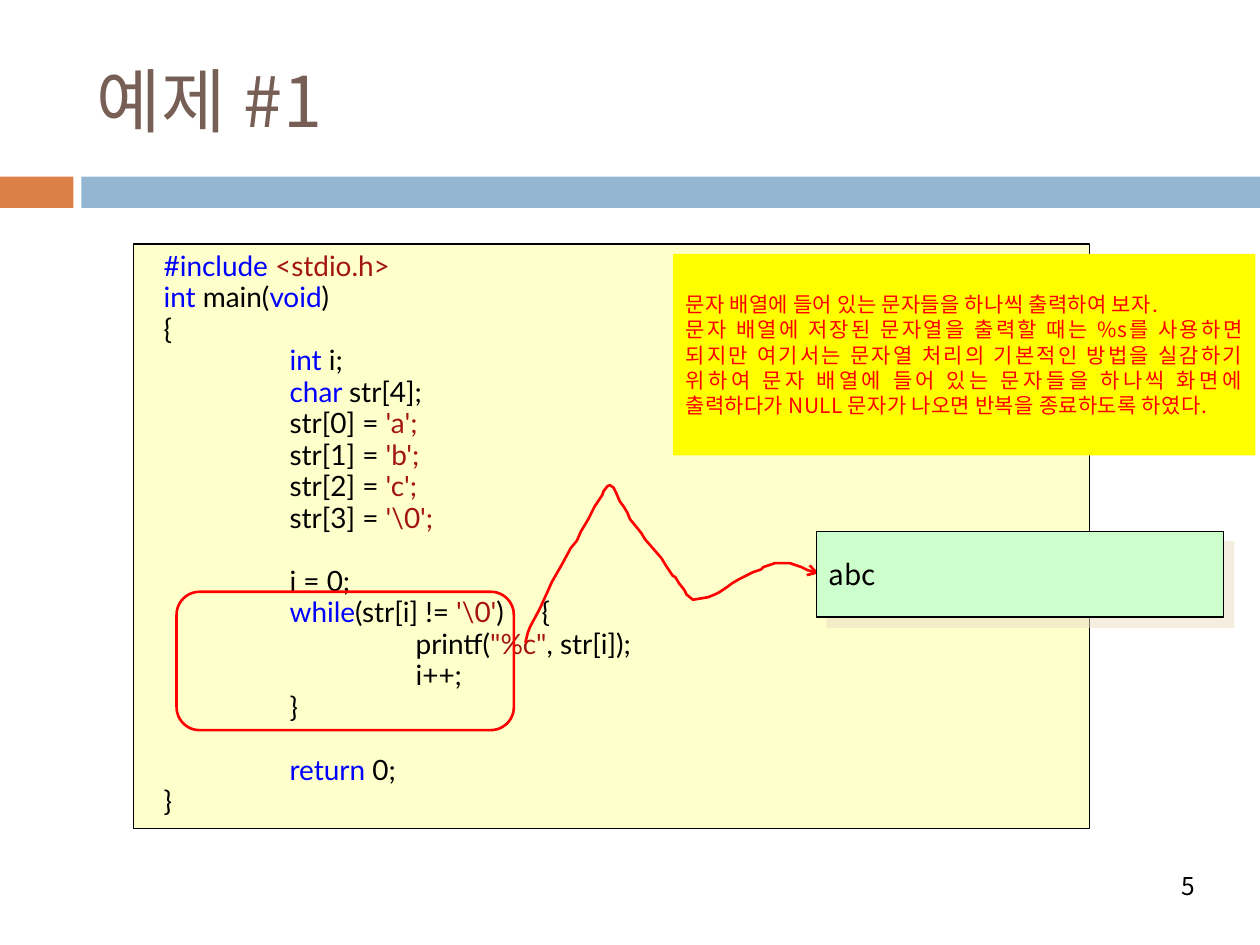
from lxml.etree import SubElement
from pptx import Presentation
from pptx.dml.color import RGBColor
from pptx.enum.shapes import MSO_SHAPE
from pptx.enum.text import MSO_ANCHOR, PP_ALIGN
from pptx.oxml.ns import qn
from pptx.util import Cm, Pt

HEX = {
    "orange": "DD8047", "blue": "94B6D2", "brown": "775F55",
    "cream": "FFFFCC", "yellow": "FFFF00", "green": "CCFFCC",
    "red": "FF0000", "black": "000000", "shade": "EBDDC3",
    "key": "0000FF", "str": "A31515",
}
SANS = "Noto Sans CJK KR"
KEYS = {"#include", "int", "void", "char", "while", "return"}

# Each code line is a list of pieces that share one colour
CODE = [
    ["#include ", "<stdio.h>"],
    ["int ", "main(", "void", ")"],
    ["{"],
    ["\t", "int ", "i;"],
    ["\t", "char ", "str[4];"],
    ["\tstr[0] = ", "'a';"],
    ["\tstr[1] = ", "'b';"],
    ["\tstr[2] = ", "'c';"],
    ["\tstr[3] = ", "'\\0';"],
    ["\t"],
    ["\ti = 0;"],
    ["\t", "while", "(str[i] != ", "'\\0'", ")\t{"],
    ["\t\tprintf(", '"%c"', ", str[i]);"],
    ["\t\ti++;"],
    ["\t}"],
    ["\t"],
    ["\t", "return ", "0;"],
    ["}"],
]

NOTE = [
    "문자 배열에 들어 있는 문자들을 하나씩 출력하여 보자.",
    "문자 배열에 저장된 문자열을 출력할 때는 %s를 사용하면 되지만 여기서는 "
    "문자열 처리의 기본적인 방법을 실감하기 위하여 문자 배열에 들어 있는 "
    "문자들을 하나씩 화면에 출력하다가 NULL 문자가 나오면 반복을 종료하도록 하였다.",
]

# Points of the hand-drawn arrow, in hundredths of an inch
TRAIL = [
    (417, 510), (419, 502), (421, 497), (428, 484), (434, 471), (438, 462),
    (446, 448), (453, 435), (458, 429), (461, 422), (464, 417), (467, 412),
    (472, 402), (478, 393), (479, 390), (482, 386), (484, 385), (487, 387),
    (489, 391), (492, 398), (495, 402), (498, 407), (500, 412), (509, 423),
    (512, 428), (525, 443), (528, 448), (534, 457), (536, 458), (539, 463),
    (543, 468), (545, 472), (550, 476), (562, 474), (567, 472), (571, 470),
    (577, 466), (581, 463), (586, 460), (592, 457), (598, 454), (604, 452),
    (606, 450), (615, 447), (627, 447), (636, 450), (642, 453), (646, 454),
    (650, 455),
]


def tint(name):
    return RGBColor.from_string(HEX[name])


def style(run, face, size, color, track=0):
    run.font.name, run.font.size = face, Pt(size)
    run.font.color.rgb = tint(color)
    SubElement(run.font._element, qn("a:ea"), typeface=face)
    if track:
        run.font._element.set("spc", str(track))


def write(frame, lines, size, color, align=PP_ALIGN.LEFT, pitch=None, track=0):
    frame.word_wrap = True
    frame.vertical_anchor = MSO_ANCHOR.MIDDLE
    frame.text = "\n".join(lines)
    for para in frame.paragraphs:
        para.alignment = align
        if pitch:
            para.line_spacing = Pt(pitch)
        for run in para.runs:
            style(run, SANS, size, color, track)


def place(shape, box):
    shape.left, shape.top, shape.width, shape.height = map(Cm, box)


def add_box(slide, box, fill=None, line=None, width=0.75, kind=MSO_SHAPE.RECTANGLE):
    shape = slide.shapes.add_shape(kind, *map(Cm, box))
    shape.shadow.inherit = False
    if fill:
        shape.fill.solid()
        shape.fill.fore_color.rgb = tint(fill)
    else:
        shape.fill.background()
    if line:
        shape.line.color.rgb = tint(line)
        shape.line.width = Pt(width)
    else:
        shape.line.fill.background()
    return shape


def add_shade(shape):
    effect = shape._element.spPr.find(qn("a:effectLst"))
    outer = SubElement(effect, qn("a:outerShdw"), blurRad="0",
                       dist=str(Pt(8.5)), dir="2700000", algn="ctr", rotWithShape="0")
    color = SubElement(outer, qn("a:srgbClr"), val=HEX["shade"])
    SubElement(color, qn("a:alpha"), val="50000")


def set_tabs(para):
    props = para._p.get_or_add_pPr()
    props.set("marL", str(Cm(0.36)))
    props.set("indent", "0")
    props.set("defTabSz", str(Cm(2.54)))
    tabs = SubElement(props, qn("a:tabLst"))
    for step in (1, 2, 3):
        SubElement(tabs, qn("a:tab"), pos=str(Cm(2.54 * step)), algn="l")


def add_code(slide, box):
    frame = add_box(slide, box, "cream", "black").text_frame
    frame.word_wrap = True
    frame.vertical_anchor = MSO_ANCHOR.TOP
    for row, parts in enumerate(CODE):
        para = frame.add_paragraph() if row else frame.paragraphs[0]
        set_tabs(para)
        para.alignment = PP_ALIGN.LEFT
        para.line_spacing = Pt(18)
        for part in parts:
            run = para.add_run()
            run.text = part
            color = "black"
            if part.strip() in KEYS:
                color = "key"
            elif part[0] in "'\"<":
                color = "str"
            style(run, "Lato", 16, color)


def add_trail(slide):
    pen = slide.shapes.build_freeform(*TRAIL[0], scale=Cm(0.0254))
    pen.add_line_segments(TRAIL[1:], close=False)
    shape = pen.convert_to_shape()
    shape.shadow.inherit = False
    shape.fill.background()
    shape.line.color.rgb = tint("red")
    shape.line.width = Pt(1.5)
    SubElement(shape.line._get_or_add_ln(), qn("a:tailEnd"), type="arrow")


def main():
    deck = Presentation()
    deck.slide_width, deck.slide_height = Cm(25.4), Cm(19.05)
    slide = deck.slides.add_slide(deck.slide_layouts[5])

    # Title and the band below it
    add_box(slide, (0, 3.56, 1.48, 0.63), "orange")
    add_box(slide, (1.64, 3.56, 23.76, 0.63), "blue")
    title = slide.shapes.title
    place(title, (1.7, 0.64, 22.66, 2.74))
    write(title.text_frame, ["예제 #1"], 40, "brown", track=46)

    # Code with the loop marked
    add_code(slide, (2.69, 4.92, 19.27, 11.79))
    add_box(slide, (3.56, 11.93, 6.8, 2.79), line="red", width=1.5,
            kind=MSO_SHAPE.ROUNDED_RECTANGLE)
    add_trail(slide)

    # Note and program output
    note = add_box(slide, (13.57, 5.12, 11.74, 4.06), "yellow")
    write(note.text_frame, NOTE, 12, "red", PP_ALIGN.JUSTIFY, 14.5, 18)
    result = add_box(slide, (16.46, 10.71, 8.2, 1.73), "green", "black")
    add_shade(result)
    write(result.text_frame, ["abc"], 16, "black")

    # Page number
    page = slide.shapes.add_textbox(*map(Cm, (17.28, 17.35, 7.06, 1.02)))
    write(page.text_frame, ["5"], 14, "black", PP_ALIGN.RIGHT)

    deck.save("out.pptx")


if __name__ == "__main__":
    main()
